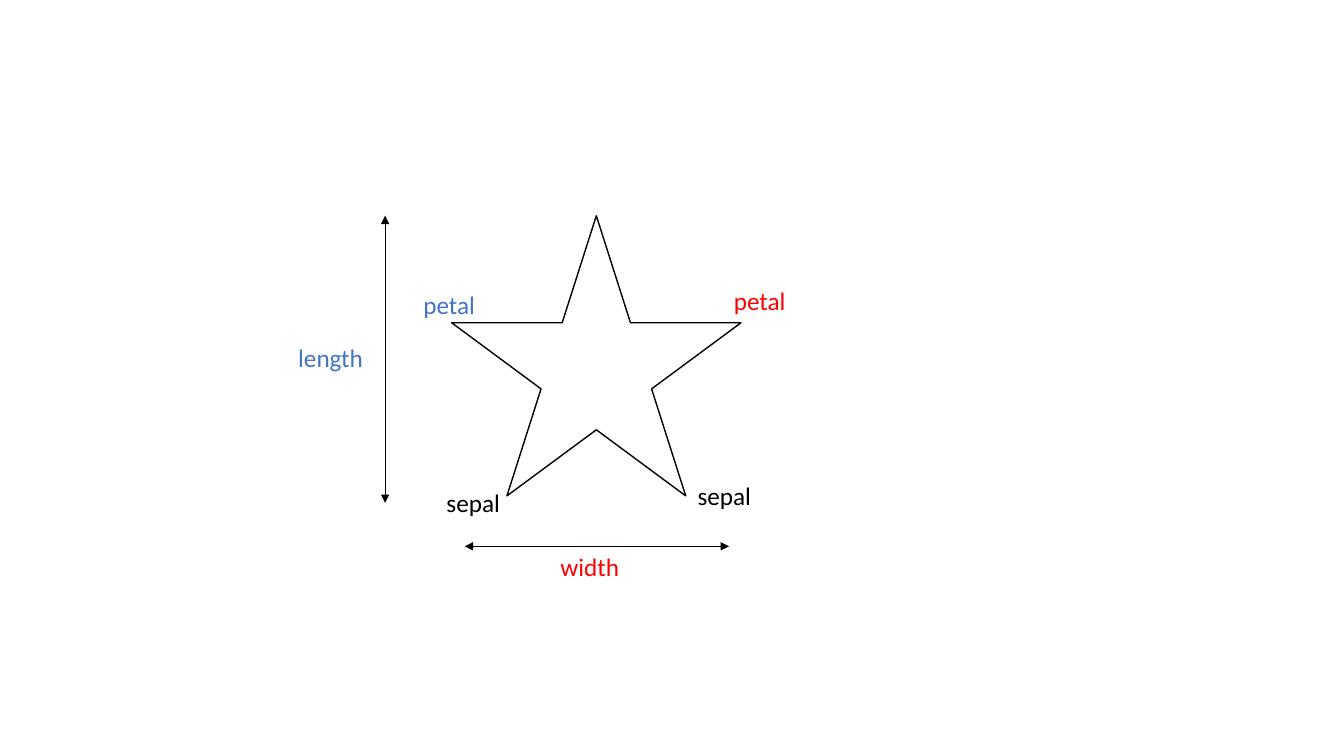
"""Draw a star-shaped flower with its petals, sepals, length and width labelled."""
from lxml import etree
from pptx import Presentation
from pptx.dml.color import RGBColor
from pptx.enum.shapes import MSO_CONNECTOR, MSO_SHAPE
from pptx.enum.text import MSO_AUTO_SIZE
from pptx.oxml.ns import qn
from pptx.util import Inches, Pt

STAR = MSO_SHAPE.STAR_5_POINT
STRAIGHT = MSO_CONNECTOR.STRAIGHT
FIT_SHAPE = MSO_AUTO_SIZE.SHAPE_TO_FIT_TEXT
BLANK_LAYOUT = 6
BLACK, RED, BLUE = "000000", "FF0000", "4472C4"

LABELS = [
    ("sepal", 6.82, 4.72, 0.82, BLACK),
    ("petal", 7.18, 2.78, 0.82, RED),
    ("petal", 4.1, 2.82, 0.82, BLUE),
    ("sepal", 4.33, 4.79, 0.82, BLACK),
    ("length", 2.86, 3.35, 0.9, BLUE),
    ("width", 5.46, 5.42, 0.9, RED),
]


def rgb(color):
    """Turn a hex string into a colour."""
    return RGBColor.from_string(color)


def set_line(line, width):
    """Give a line a black colour and a width in points."""
    line.color.rgb = rgb(BLACK)
    line.width = Pt(width)


def add_star(s, x, y, w, h):
    """Add an unfilled five-pointed star."""
    sp = s.shapes.add_shape(STAR, Inches(x), Inches(y), Inches(w), Inches(h))
    sp.shadow.inherit = False
    sp.fill.background()
    set_line(sp.line, 1)


def add_dimension(s, x1, y1, x2, y2):
    """Add a thin line with an arrowhead at each end."""
    sp = s.shapes.add_connector(STRAIGHT, Inches(x1), Inches(y1), Inches(x2), Inches(y2))
    set_line(sp.line, 0.5)
    ln = sp.line._get_or_add_ln()
    for end in ("a:headEnd", "a:tailEnd"):
        etree.SubElement(ln, qn(end), type="triangle")
    etree.SubElement(sp._element.spPr, qn("a:effectLst"))


def add_label(s, text, x, y, w, color):
    """Add a one-line text label."""
    sp = s.shapes.add_textbox(Inches(x), Inches(y), Inches(w), Inches(0.4))
    tf = sp.text_frame
    tf.word_wrap = True
    tf.auto_size = FIT_SHAPE
    r = tf.paragraphs[0].add_run()
    r.text = text
    r.font.name = "Calibri"
    r.font.size = Pt(18)
    r.font.color.rgb = rgb(color)


def main():
    """Build the slide and save it."""
    prs = Presentation()
    prs.slide_width, prs.slide_height = Inches(13.33), Inches(7.5)
    s = prs.slides.add_slide(prs.slide_layouts[BLANK_LAYOUT])
    add_star(s, 4.48, 2.14, 2.87, 2.78)
    add_dimension(s, 4.61, 5.42, 7.23, 5.42)
    add_dimension(s, 3.82, 2.14, 3.82, 4.99)
    for label in LABELS:
        add_label(s, *label)
    prs.save("out.pptx")


if __name__ == "__main__":
    main()
